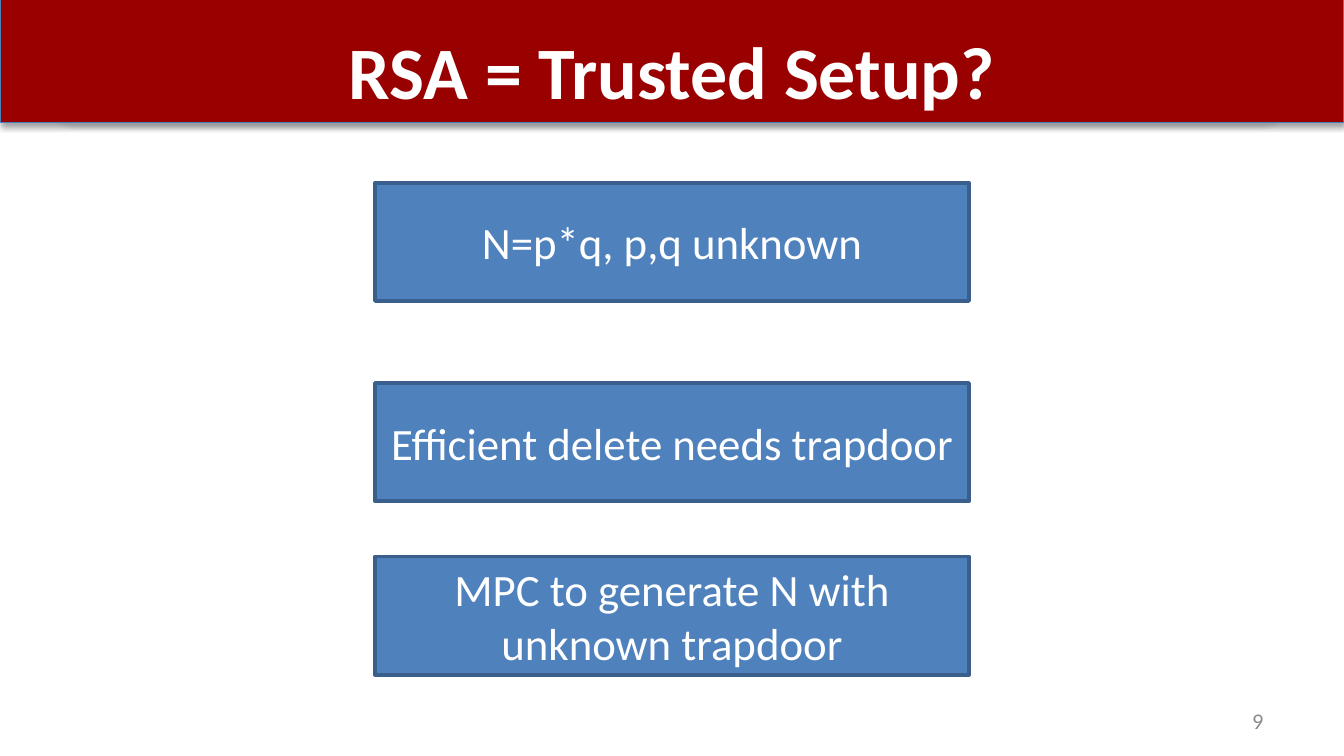
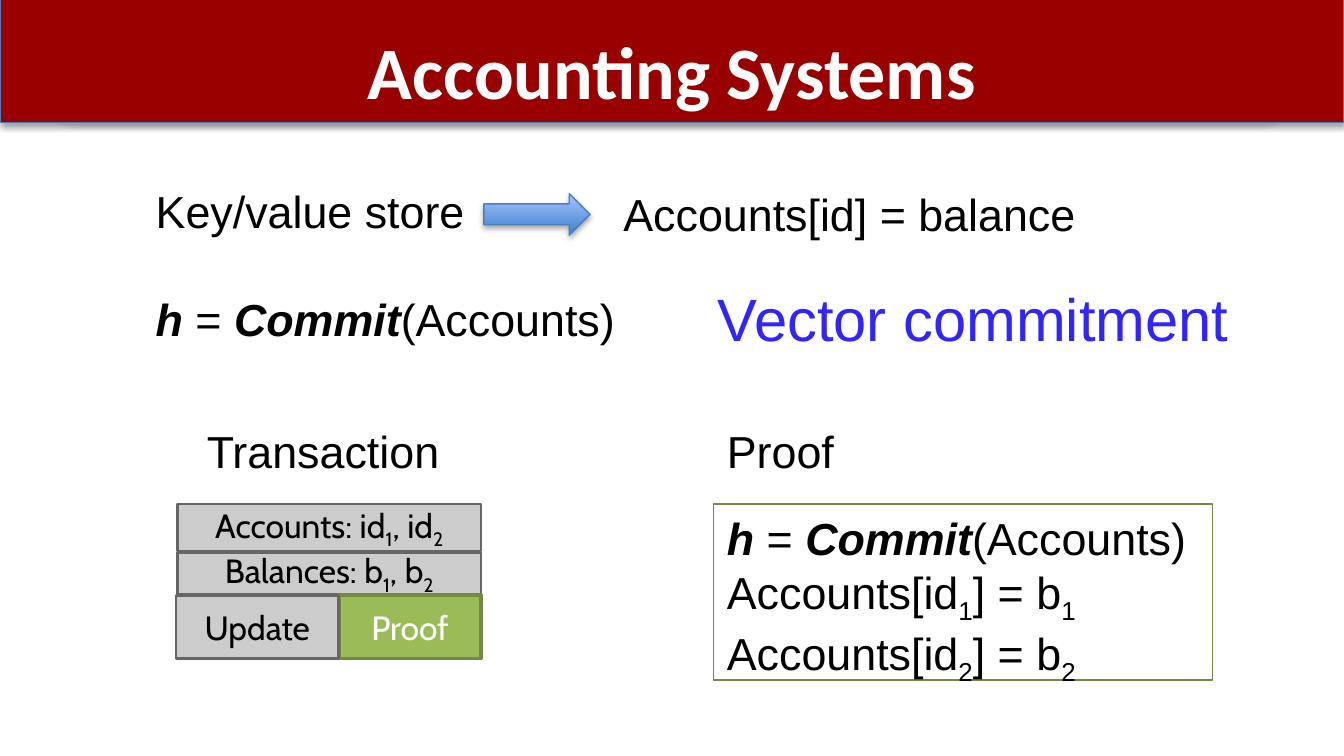
"""Two slides on trusted setup and on accounting systems with vector commitments."""
from lxml.etree import SubElement
from pptx import Presentation
from pptx.dml.color import RGBColor
from pptx.enum.shapes import MSO_SHAPE
from pptx.enum.text import MSO_ANCHOR, MSO_AUTO_SIZE, PP_ALIGN
from pptx.oxml import parse_xml
from pptx.oxml.ns import nsdecls, qn
from pptx.util import Inches, Pt

COLUMNS = 100
ROWS = COLUMNS * 9 / 16
CELL = Inches(0.1)
COLORS = {
    "band": "990000", "band line": "4B7EBC", "under band": "7D60A0",
    "white": "FFFFFF", "black": "000000", "page number": "8C8C8C",
    "blue": "4F81BD", "blue line": "3A5F8C", "highlight": "3025FF",
    "gray": "CCCCCC", "gray line": "666666",
    "green": "9BBB59", "green line": "738A42",
    "arrow dark": "3F80CE", "arrow light": "A4C4FF",
}
RGB = {name: RGBColor.from_string(value) for name, value in COLORS.items()}


def draw(shapes, kind, frame, fill, line, weight, shadow=False):
    """Add a preset shape whose frame is given in grid columns and rows."""
    box = shapes.add_shape(kind, *(int(length * CELL) for length in frame))
    box.shadow.inherit = False
    if fill:
        box.fill.solid()
        box.fill.fore_color.rgb = RGB[fill]
    else:
        box.fill.background()
    box.line.color.rgb = RGB[line]
    box.line.width = Pt(weight)
    if shadow:
        effects = box.element.spPr.find(qn("a:effectLst"))
        effects.append(parse_xml(
            f'<a:outerShdw {nsdecls("a")} blurRad="{Pt(3.1)}" dist="{Pt(1.8)}" '
            'dir="5400000" rotWithShape="0"/>'))
        tint = SubElement(effects[0], qn("a:srgbClr"), val=COLORS["black"])
        SubElement(tint, qn("a:alpha"), val="35000")
    return box


def write(box, lines, size, font, color, align=PP_ALIGN.CENTER,
          anchor=MSO_ANCHOR.MIDDLE, grow=False):
    """Write lines; pieces between bars are subscript digits or bold italic words."""
    frame = box.text_frame
    frame.word_wrap = True
    frame.vertical_anchor = anchor
    frame.auto_size = MSO_AUTO_SIZE.SHAPE_TO_FIT_TEXT if grow else MSO_AUTO_SIZE.NONE
    for index, line in enumerate(lines):
        para = frame.add_paragraph() if index else frame.paragraphs[0]
        para.alignment = align
        para.font.size, para.font.name = Pt(size), font
        para.font.color.rgb = RGB[color]
        for order, piece in enumerate(line.split("|")):
            if not piece:
                continue
            span = para.add_run()
            span.text = piece
            if order % 2 and piece.isdigit():
                span.font._element.set("baseline", "-25000")
            elif order % 2:
                span.font.bold = span.font.italic = True


deck = Presentation()
deck.slide_width, deck.slide_height = int(COLUMNS * CELL), int(ROWS * CELL)

pages = []
for heading in ("RSA = Trusted Setup?", "Accounting Systems"):
    page = deck.slides.add_slide(deck.slide_layouts[5])
    title = page.shapes.title
    title.left, title.top = int(5 * CELL), int(1.4 * CELL)
    title.width, title.height = int(90 * CELL), int(6.8 * CELL)
    write(title, [heading], 39.6, "Calibri", "white", anchor=MSO_ANCHOR.TOP)
    title.text_frame.word_wrap = False
    title.text_frame.paragraphs[0].font.bold = True
    for kind, frame, fill, line in (
            (MSO_SHAPE.ROUNDED_RECTANGLE, (4, 0, 91.3, 8.9), None, "under band"),
            (MSO_SHAPE.RECTANGLE, (0, -0.1, COLUMNS, 9.2), "band", "band line")):
        band = draw(page.shapes, kind, frame, fill, line, 0.75, shadow=True)
        title.element.addprevious(band.element)
    pages.append(page)
setup, accounting = pages

number = setup.shapes.add_textbox(
    *(int(length * CELL) for length in (71.7, 52.1, 23.3, 3)))
write(number, ["9"], 12, "Calibri", "page number", PP_ALIGN.RIGHT)

for top, statement in ((13.6, "N=p*q, p,q unknown"),
                       (28.5, "Efficient delete needs trapdoor"),
                       (41.4, "MPC to generate N with unknown trapdoor")):
    box = draw(setup.shapes, MSO_SHAPE.RECTANGLE, (27.9, top, 44.2, 8.8),
               "blue", "blue line", 2)
    write(box, [statement], 24, "Calibri", "white")

transaction = accounting.shapes.add_group_shape()
for frame, fill, weight, color, label in (
        ((13.2, 41.1, 22.6, 3.1), "gray", 1.5, "black", "Balances: b|1|, b|2|"),
        ((13.2, 37.5, 22.6, 3.5), "gray", 1.5, "black", "Accounts: id|1|, id|2|"),
        ((25.2, 44.3, 10.6, 4.7), "green", 2, "white", "Proof"),
        ((13.1, 44.3, 12.1, 4.7), "gray", 1.5, "black", "Update")):
    box = draw(transaction.shapes, MSO_SHAPE.RECTANGLE, frame,
               fill, f"{fill} line", weight)
    write(box, [label], 18, "Cabin", color)
    box.text_frame.margin_left = box.text_frame.margin_right = CELL
    box.text_frame.margin_top = box.text_frame.margin_bottom = CELL

COMMITMENT = "|h| = |Commit|(Accounts)"
for frame, label, size, color in (
        ((14.4, 31, 19.8, 5), "Transaction", 24, "black"),
        ((10.6, 13.2, 26.9, 5), "Key/value store", 24, "black"),
        ((45.4, 13.4, 41.7, 5), "Accounts[id] = balance", 24, "black"),
        ((10.6, 21.2, 37.3, 5), COMMITMENT, 24, "black"),
        ((53.1, 31, 19.8, 5), "Proof", 24, "black"),
        ((52.4, 20.5, 41, 6.4), "Vector commitment", 32, "highlight")):
    box = accounting.shapes.add_textbox(*(int(length * CELL) for length in frame))
    write(box, [label], size, "Arial", color, PP_ALIGN.LEFT, MSO_ANCHOR.TOP, grow=True)

arrow = draw(accounting.shapes, MSO_SHAPE.RIGHT_ARROW, (36, 14.4, 7.9, 3.1),
             None, "band line", 0.75, shadow=True)
arrow.fill.gradient()
arrow.fill.gradient_angle = 90
for stop, position, shade in zip(arrow.fill.gradient_stops, (0, 1),
                                 ("arrow dark", "arrow light")):
    stop.position = position
    stop.color.rgb = RGB[shade]

proof = draw(accounting.shapes, MSO_SHAPE.RECTANGLE, (53.1, 37.5, 37.1, 13.1),
             None, "green line", 0.75)
write(proof, [COMMITMENT] + [f"Accounts[id|{index}|] = b|{index}|" for index in (1, 2)],
      24, "Arial", "black", PP_ALIGN.LEFT, MSO_ANCHOR.TOP, grow=True)

deck.save("out.pptx")
